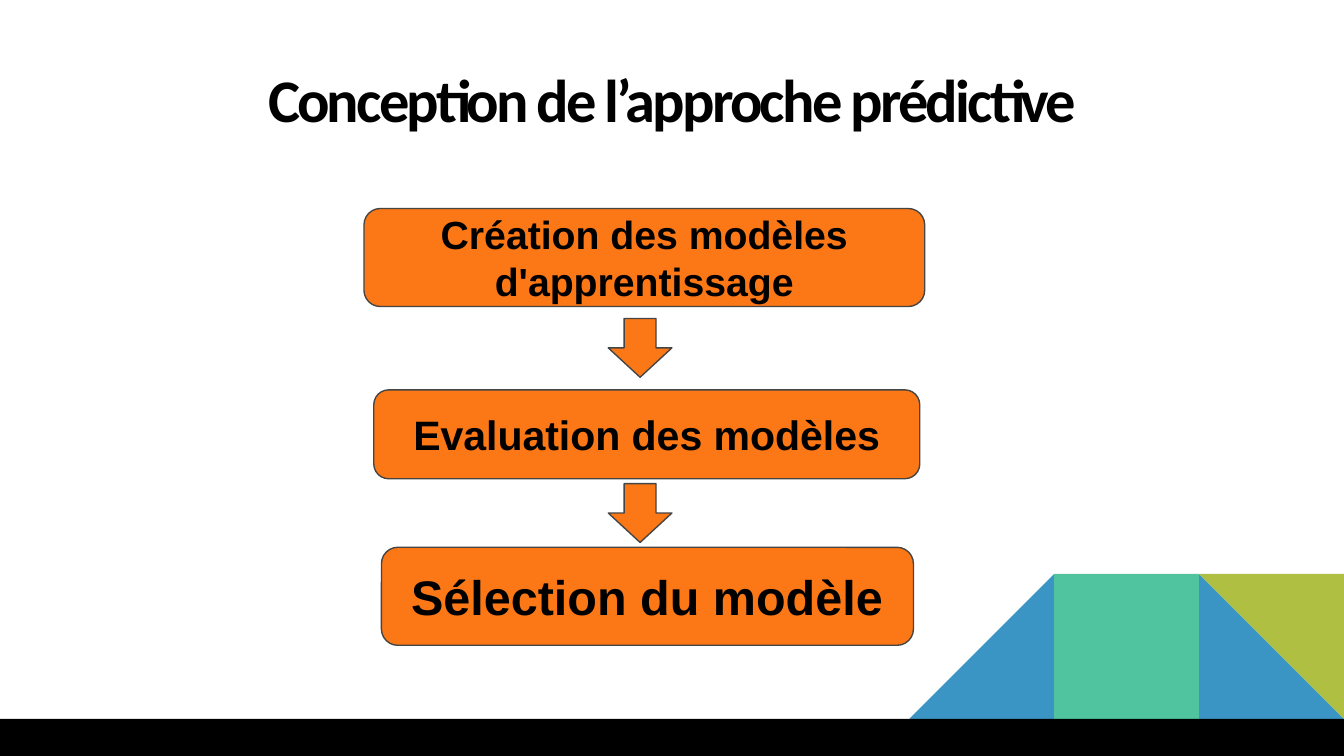
from pptx import Presentation
from pptx import util as u
from pptx.dml.color import RGBColor
from pptx.enum import shapes, text

EMU_PER_PX = 4762.5
WIDTH, HEIGHT = 1920, 1080
ORANGE, OUTLINE, BLACK = "FC7715", "454545", "000000"
BLUE, GREEN, OLIVE = "3B95C4", "50C49F", "AFBF41"
KIND = shapes.MSO_SHAPE


def px(length):
    """Turn px into EMU."""
    return u.Emu(round(length * EMU_PER_PX))


def color(value):
    """Turn a hex string into a colour."""
    return RGBColor.from_string(value)


def write(shape, content, size, font="Arial", anchor=text.MSO_ANCHOR.MIDDLE,
          line_spacing=None, tracking=None):
    """Write centred bold black text into a shape."""
    frame = shape.text_frame
    frame.word_wrap = True
    frame.vertical_anchor = anchor
    frame.margin_left = frame.margin_right = px(19)
    frame.margin_top = frame.margin_bottom = px(19)
    paragraph = frame.paragraphs[0]
    paragraph.alignment = text.PP_ALIGN.CENTER
    paragraph.line_spacing = line_spacing
    run = paragraph.add_run()
    run.text = content
    run.font.size = u.Pt(size)
    run.font.name = font
    run.font.bold = True
    run.font.color.rgb = color(BLACK)
    if tracking is not None:
        run.font._element.set("spc", str(tracking))


class Canvas:
    """Hold the style and the current slide."""

    def __init__(self, slide, fill, outline):
        """Keep the slide and the colours of the flow."""
        self.slide = slide
        self.fill = fill
        self.outline = outline

    def block(self, kind, box, fill, rotation=0):
        """Add a flat shape without an outline."""
        shape = self.slide.shapes.add_shape(kind, *map(px, box))
        shape.shadow.inherit = False
        shape.fill.solid()
        shape.fill.fore_color.rgb = color(fill)
        shape.line.fill.background()
        shape.rotation = rotation
        return shape

    def outlined(self, kind, box):
        """Add a shape in the flow style."""
        shape = self.block(kind, box, self.fill)
        shape.line.color.rgb = color(self.outline)
        shape.line.width = u.Pt(0.75)
        return shape

    def step(self, box, content, size):
        """Add a rounded step with its label."""
        write(self.outlined(KIND.ROUNDED_RECTANGLE, box), content, size)

    def arrow(self, top):
        """Add a down arrow between two steps."""
        self.outlined(KIND.DOWN_ARROW, (869, top, 91, 84))

    def title(self, box, content):
        """Add the slide title."""
        shape = self.slide.shapes.add_textbox(*map(px, box))
        write(shape, content, 32.4, font="Calibri", anchor=text.MSO_ANCHOR.TOP,
              line_spacing=0.85, tracking=-150)


def main():
    """Build and save the slide."""
    presentation = Presentation()
    presentation.slide_width = px(WIDTH)
    presentation.slide_height = px(HEIGHT)
    slide = presentation.slides.add_slide(presentation.slide_layouts[6])
    canvas = Canvas(slide, ORANGE, OUTLINE)

    side, bar_top = 207, 1027
    for kind, column, fill, rotation in (
        (KIND.RIGHT_TRIANGLE, 2, BLUE, 0),
        (KIND.RIGHT_TRIANGLE, 0, BLUE, 270),
        (KIND.RECTANGLE, 1, GREEN, 0),
        (KIND.RIGHT_TRIANGLE, 2, OLIVE, 180),
    ):
        left = WIDTH - (3 - column) * side
        canvas.block(kind, (left, bar_top - side, side, side), fill, rotation)
    canvas.block(KIND.RECTANGLE, (0, bar_top, WIDTH, HEIGHT - bar_top), BLACK)

    canvas.title((65, 86, 1790, 127), "Conception de l’approche prédictive")
    for box, content, size in (
        ((520, 298, 801, 140), "Création des modèles d'apprentissage", 21),
        ((534, 557, 780, 127), "Evaluation des modèles", 22),
        ((545, 782, 760, 140), "Sélection du modèle", 26),
    ):
        canvas.step(box, content, size)
    for arrow_top in (455, 691):
        canvas.arrow(arrow_top)

    presentation.save("out.pptx")


if __name__ == "__main__":
    main()
